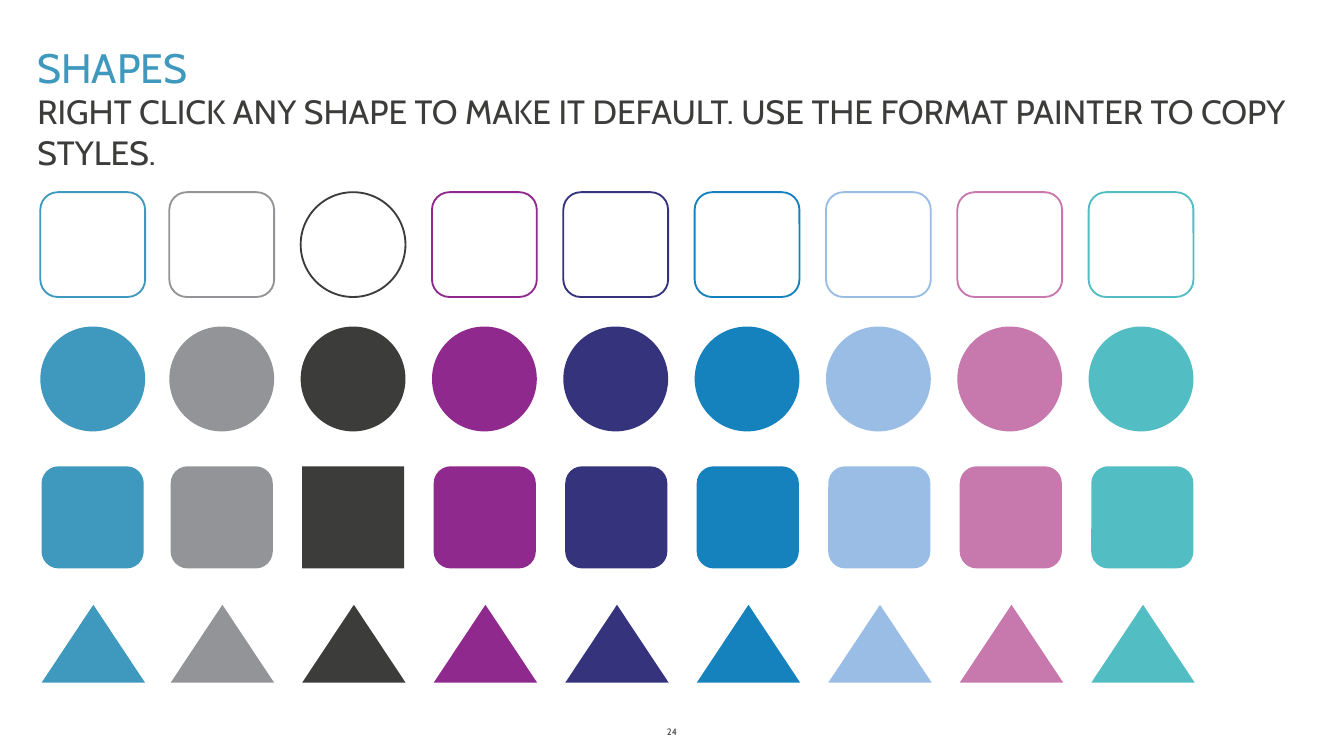
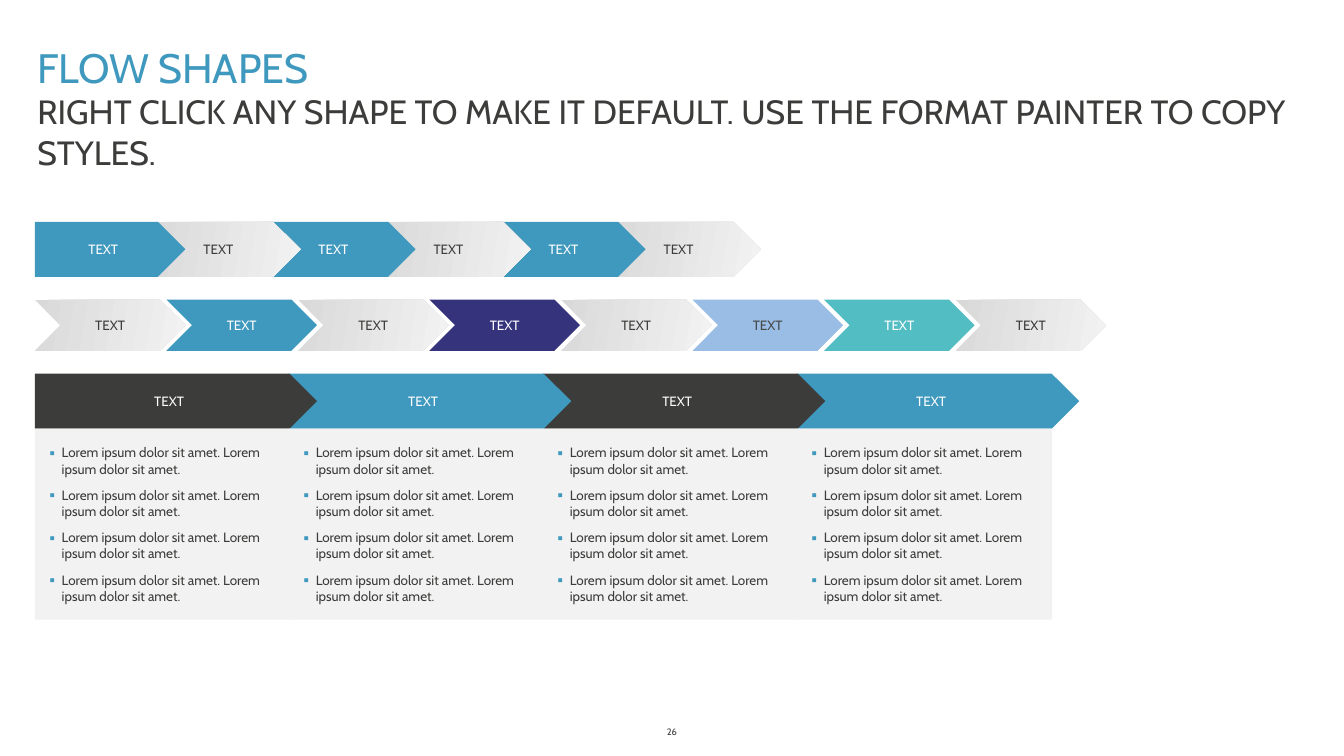
from dataclasses import dataclass

from lxml.etree import SubElement
from pptx import Presentation
from pptx.dml.color import RGBColor
from pptx.enum.shapes import MSO_SHAPE
from pptx.enum.text import MSO_ANCHOR, PP_ALIGN
from pptx.oxml.ns import qn
from pptx.util import Inches, Pt

COLORS = {
    "white": "FFFFFF", "blue": "3F98BD", "gray": "929497", "dark": "3C3C3B",
    "purple": "90298D", "navy": "36337D", "azure": "1582BE", "sky": "99BDE4",
    "pink": "C778AD", "teal": "52BDC2", "slate": "464749", "panel": "F2F2F2",
    "silver": "D9D9D9",
}
SWATCHES = ["blue", "gray", "dark", "purple", "navy", "azure", "sky", "pink", "teal"]
FONT = "Cabin"
SUBTITLE = ("RIGHT CLICK ANY SHAPE TO MAKE IT DEFAULT. "
            "USE THE FORMAT PAINTER TO COPY STYLES.")
LOREM = "Lorem ipsum dolor sit amet. Lorem ipsum dolor sit amet."


@dataclass
class Box:
    """A region of the page, in inches."""
    left: float
    top: float
    width: float
    height: float

    def lengths(self):
        """Return the region as lengths in the order shapes expect."""
        return [Inches(side) for side in (self.left, self.top, self.width, self.height)]


def color(name):
    """Return the named color."""
    return RGBColor.from_string(COLORS[name])


def apply(target, formats):
    """Set each format value on the target."""
    for name, value in formats.items():
        setattr(target, name, value)


def spread(first, last, count):
    """Return equally spaced positions from first to last."""
    return [first + index * (last - first) / (count - 1) for index in range(count)]


def write(paragraph, text, size, ink, align=PP_ALIGN.LEFT):
    """Fill a paragraph with one formatted span."""
    paragraph.alignment = align
    span = paragraph.add_run()
    span.text = text
    apply(span.font, {"name": FONT, "size": Pt(size)})
    span.font.color.rgb = color(ink)


def add_label(page, box, text, size, ink, anchor, align=PP_ALIGN.LEFT):
    """Add a wrapped text box."""
    frame = page.shapes.add_textbox(*box.lengths()).text_frame
    apply(frame, {"word_wrap": True, "vertical_anchor": anchor})
    write(frame.paragraphs[0], text, size, ink, align)


def add_figure(page, kind, box, fill=None, line=None):
    """Add a preset shape with a plain fill, a silver gradient or an outline."""
    shape = page.shapes.add_shape(kind, *box.lengths())
    shape.shadow.inherit = False
    if fill == "silver":
        shape.fill.gradient()
        shape.fill.gradient_angle = 350
        for stop, name, position in zip(shape.fill.gradient_stops, ("silver", "panel"), (0, 1)):
            stop.color.rgb = color(name)
            stop.position = position
    elif fill:
        shape.fill.solid()
        shape.fill.fore_color.rgb = color(fill)
    else:
        shape.fill.background()
    if line:
        shape.line.color.rgb = color(line)
        shape.line.width = Pt(1)
    else:
        shape.line.fill.background()
    return shape


def add_frame(deck, title, number):
    """Add a page with its title, subtitle and page number."""
    page = deck.slides.add_slide(deck.slide_layouts[6])
    page.background.fill.solid()
    page.background.fill.fore_color.rgb = color("white")
    add_label(page, Box(0.18, 0.26, 9.57, 0.47), title, 22, "blue", MSO_ANCHOR.BOTTOM)
    add_label(page, Box(0.18, 0.63, 9.57, 0.71), SUBTITLE, 18, "dark", MSO_ANCHOR.TOP)
    add_label(page, Box(4.53, 5.35, 0.94, 0.19), number, 5, "dark",
              MSO_ANCHOR.MIDDLE, PP_ALIGN.CENTER)
    return page


def add_swatch_row(page, box, side, kind, dark_kind, outlined=False):
    """Add one figure per swatch, the dark one with its own kind."""
    lefts = [box.left] + spread(box.left + 0.96, box.left + box.width - side, len(SWATCHES) - 1)
    for left, name in zip(lefts, SWATCHES):
        paint = {"line": name} if outlined else {"fill": name}
        add_figure(page, dark_kind if name == "dark" else kind,
                   Box(left, box.top, side, box.height), **paint)


def add_arrow_row(page, box, kind, width, fills):
    """Add labelled arrows across the box, each one over the next."""
    lefts = spread(box.left, box.left + box.width - width, len(fills))
    for left, fill in reversed(list(zip(lefts, fills))):
        arrow = add_figure(page, kind, Box(left, box.top, width, box.height), fill)
        apply(arrow.text_frame, {"margin_left": 0, "margin_right": 0,
                                 "word_wrap": True, "vertical_anchor": MSO_ANCHOR.MIDDLE})
        ink = {"silver": "dark", "sky": "slate"}.get(fill, "white")
        write(arrow.text_frame.paragraphs[0], "TEXT", 7.2, ink, PP_ALIGN.CENTER)


def add_bullet(paragraph):
    """Give a paragraph a blue square bullet and a hanging indent."""
    properties = paragraph._p.get_or_add_pPr()
    properties.set("marL", str(Inches(0.09)))
    properties.set("indent", str(-Inches(0.09)))
    paragraph.space_after = Pt(5.4)
    tint = SubElement(properties, qn("a:buClr"))
    SubElement(tint, qn("a:srgbClr")).set("val", COLORS["blue"])
    SubElement(properties, qn("a:buFont")).set("typeface", FONT)
    SubElement(properties, qn("a:buChar")).set("char", "▪")


def add_panel_row(page, box, count, items):
    """Add adjoining panels of bulleted text."""
    width = 1.9
    for left in spread(box.left, box.left + box.width - width, count):
        panel = add_figure(page, MSO_SHAPE.RECTANGLE, Box(left, box.top, width, box.height), "panel")
        frame = panel.text_frame
        apply(frame, {"margin_left": Inches(0.11), "margin_right": Inches(0.11),
                      "word_wrap": True, "vertical_anchor": MSO_ANCHOR.MIDDLE})
        for index in range(items):
            paragraph = frame.add_paragraph() if index else frame.paragraphs[0]
            add_bullet(paragraph)
            write(paragraph, LOREM, 7.2, "dark")


def build_shapes_page(deck):
    """Build the page of basic shapes."""
    page = add_frame(deck, "SHAPES", "24")
    rounded, oval = MSO_SHAPE.ROUNDED_RECTANGLE, MSO_SHAPE.OVAL
    triangle = MSO_SHAPE.ISOSCELES_TRIANGLE
    add_swatch_row(page, Box(0.3, 1.43, 8.58, 0.78), 0.78, rounded, oval, outlined=True)
    add_swatch_row(page, Box(0.3, 2.43, 8.58, 0.78), 0.78, oval, oval)
    add_swatch_row(page, Box(0.31, 3.47, 8.57, 0.76), 0.76, rounded, MSO_SHAPE.RECTANGLE)
    add_swatch_row(page, Box(0.31, 4.5, 8.58, 0.58), 0.77, triangle, triangle)


def build_flow_page(deck):
    """Build the page of flow shapes."""
    page = add_frame(deck, "FLOW SHAPES", "26")
    add_arrow_row(page, Box(0.26, 1.65, 5.4, 0.41), MSO_SHAPE.PENTAGON, 1.12,
                  ["blue", "silver"] * 3)
    add_arrow_row(page, Box(0.26, 2.23, 7.97, 0.38), MSO_SHAPE.CHEVRON, 1.12,
                  ["silver", "blue", "silver", "navy", "silver", "sky", "teal", "silver"])
    add_arrow_row(page, Box(0.26, 2.78, 7.77, 0.41), MSO_SHAPE.PENTAGON, 2.1,
                  ["dark", "blue"] * 2)
    add_panel_row(page, Box(0.26, 3.19, 7.57, 1.42), 4, 4)


def main():
    """Build and save the deck."""
    deck = Presentation()
    apply(deck, {"slide_width": Inches(10), "slide_height": Inches(10) * 9 // 16})
    build_shapes_page(deck)
    build_flow_page(deck)
    deck.save("out.pptx")


if __name__ == "__main__":
    main()
